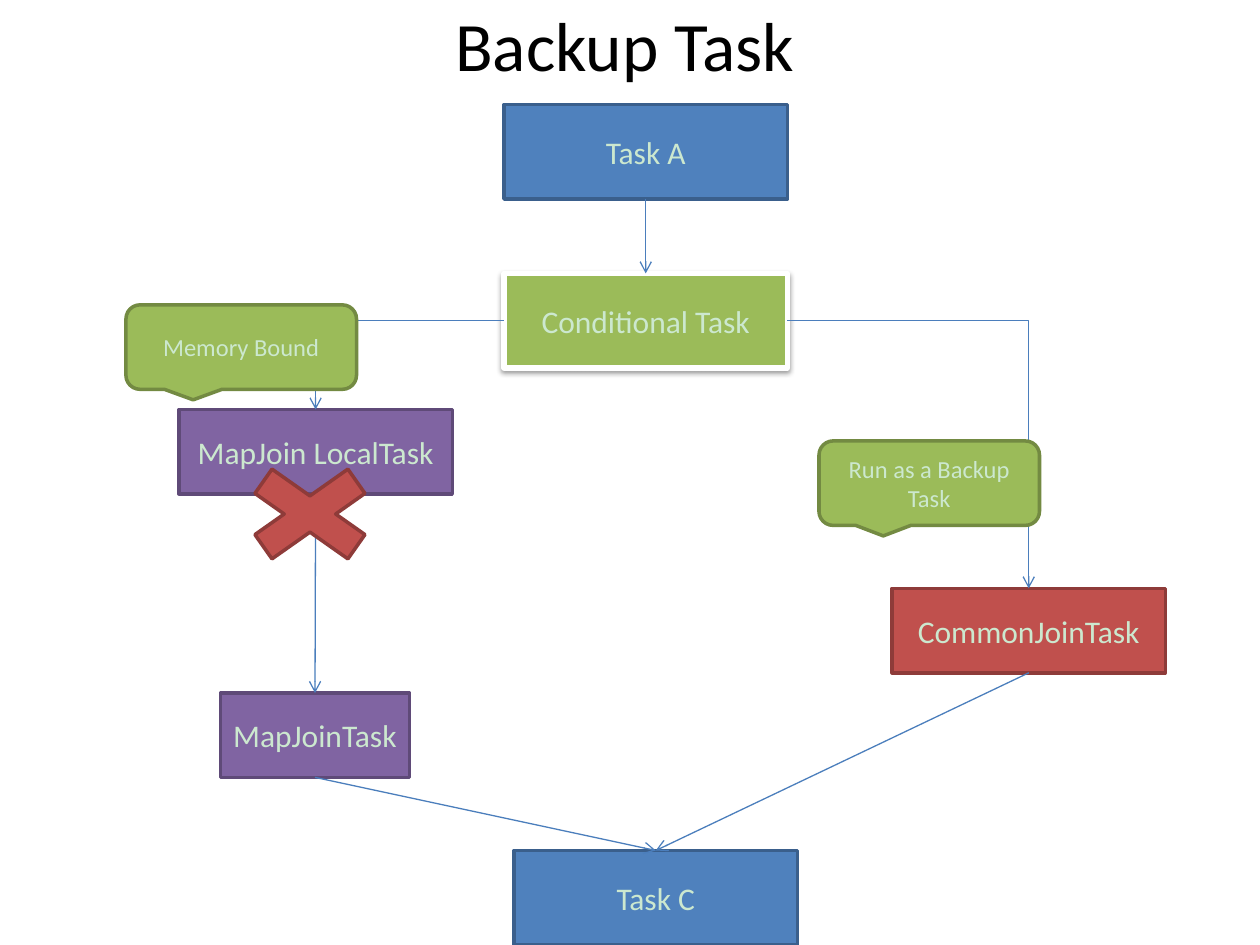
from lxml.etree import SubElement as Sub
from pptx import Presentation
from pptx.dml.color import RGBColor as RGB
from pptx.enum.shapes import MSO_CONNECTOR as Link, MSO_SHAPE as Form
from pptx.enum.text import MSO_ANCHOR as Anchor, MSO_AUTO_SIZE as Fit, PP_ALIGN as Align
from pptx.oxml.ns import qn
from pptx.util import Inches, Pt

THEME = {
    "font": "Calibri", "title": 39.6, "task": 18, "note": 14,
    "ink": "000000", "text": "CCE8CF", "back": "FFFFFF", "link": "4B7EBC",
    # fill, line, line width
    "blue": ("4F81BD", "3A5F8C", 2),
    "lime": ("9BBB59", "FFFFFF", 3),
    "violet": ("8064A2", "5F4A78", 2),
    "red": ("C0504D", "8E3B39", 2),
    "green": ("9BBB59", "738A42", 2),
}

TITLE = "Backup Task", (0.5, 0, 8.92, 0.7)
TASKS = [
    ("Task A", "blue", (4, 0.83, 2.25, 0.75)),
    ("Conditional Task", "lime", (4, 2.17, 2.25, 0.75)),
    ("Task C", "blue", (4.08, 6.75, 2.25, 0.75)),
    ("MapJoin LocalTask", "violet", (1.42, 3.25, 2.17, 0.67)),
    ("CommonJoinTask", "red", (7.08, 4.67, 2.17, 0.67)),
    ("MapJoinTask", "violet", (1.75, 5.5, 1.5, 0.67)),
]
TOP, LEFT, BOTTOM, RIGHT = range(4)
# from, side it leaves, to (always at the top)
LINKS = [
    ("Task A", BOTTOM, "Conditional Task"),
    ("MapJoinTask", BOTTOM, "Task C"),
    ("CommonJoinTask", BOTTOM, "Task C"),
    ("MapJoin LocalTask", BOTTOM, "MapJoinTask"),
    ("Conditional Task", RIGHT, "CommonJoinTask"),
    ("Conditional Task", LEFT, "MapJoin LocalTask"),
]
CROSS = 1.75, 3.58, 1.42, 1
NOTES = [
    ("Run as a Backup Task", (6.5, 3.5, 1.75, 0.67)),
    ("Memory Bound", (1, 2.42, 1.83, 0.67)),
]


def put(obj, **vals):
    for name, val in vals.items():
        setattr(obj, name, val)


def write(shape, text, size, ink):
    frame = shape.text_frame
    frame.text = text
    put(frame, word_wrap=True, auto_size=Fit.NONE, vertical_anchor=Anchor.MIDDLE)
    para = frame.paragraphs[0]
    para.alignment = Align.CENTER
    font = para.runs[0].font
    put(font, name=THEME["font"], size=Pt(THEME[size]))
    font.color.rgb = RGB.from_string(THEME[ink])


def draw(slide, form, spot, look):
    shape = slide.shapes.add_shape(form, *map(Inches, spot))
    fill, edge, width = THEME[look]
    shape.shadow.inherit = False
    shape.fill.solid()
    shape.fill.fore_color.rgb = RGB.from_string(fill)
    shape.line.color.rgb = RGB.from_string(edge)
    shape.line.width = Pt(width)
    return shape


def shade(shape):
    """Add a soft shadow straight below the shape."""
    effects = shape._element.spPr.find(qn("a:effectLst"))
    outer = Sub(effects, qn("a:outerShdw"), blurRad=str(Pt(3.1)),
                dist=str(Pt(1.6)), dir="5400000", rotWithShape="0")
    tint = Sub(outer, qn("a:srgbClr"), val="000000")
    Sub(tint, qn("a:alpha"), val="38000")


def middle(box, side):
    """Return the point at the middle of a box's side."""
    across = {LEFT: 0, RIGHT: 2}.get(side, 1)
    down = {TOP: 0, BOTTOM: 2}.get(side, 1)
    return box.left + box.width * across // 2, box.top + box.height * down // 2


def join(slide, start, side, end):
    bent = side in (LEFT, RIGHT)
    link = slide.shapes.add_connector(
        Link.ELBOW if bent else Link.STRAIGHT,
        *middle(start, side), *middle(end, TOP))
    props = link._element.spPr
    if bent:
        props.find(qn("a:prstGeom")).set("prst", "bentConnector2")
    else:
        link.begin_connect(start, side)
        link.end_connect(end, TOP)
    link.line.color.rgb = RGB.from_string(THEME["link"])
    link.line.width = Pt(0.75)
    Sub(props.find(qn("a:ln")), qn("a:tailEnd"), type="arrow")
    Sub(props, qn("a:effectLst"))


def main():
    deck = Presentation()
    put(deck, slide_width=Inches(10), slide_height=Inches(7.5))
    slide = deck.slides.add_slide(deck.slide_layouts[5])
    slide.background.fill.solid()
    slide.background.fill.fore_color.rgb = RGB.from_string(THEME["back"])

    text, spot = TITLE
    title = slide.shapes.title
    put(title, **dict(zip(("left", "top", "width", "height"), map(Inches, spot))))
    write(title, text, "title", "ink")

    boxes = {}
    for text, look, spot in TASKS:
        boxes[text] = draw(slide, Form.RECTANGLE, spot, look)
        write(boxes[text], text, "task", "text")
    shade(boxes["Conditional Task"])

    for start, side, end in LINKS:
        join(slide, boxes[start], side, boxes[end])

    draw(slide, Form.MATH_MULTIPLY, CROSS, "red")
    for text, spot in NOTES:
        note = draw(slide, Form.ROUNDED_RECTANGULAR_CALLOUT, spot, "green")
        write(note, text, "note", "text")

    deck.save("out.pptx")


if __name__ == "__main__":
    main()
